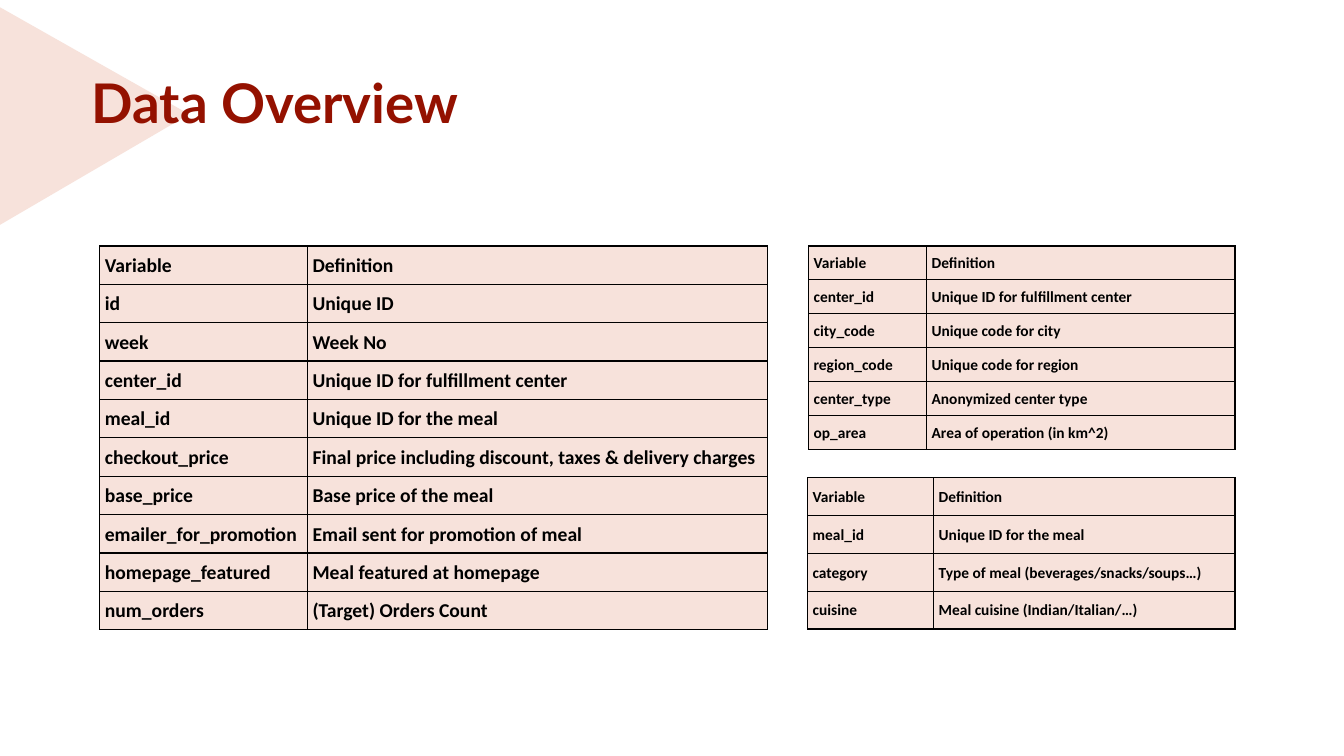
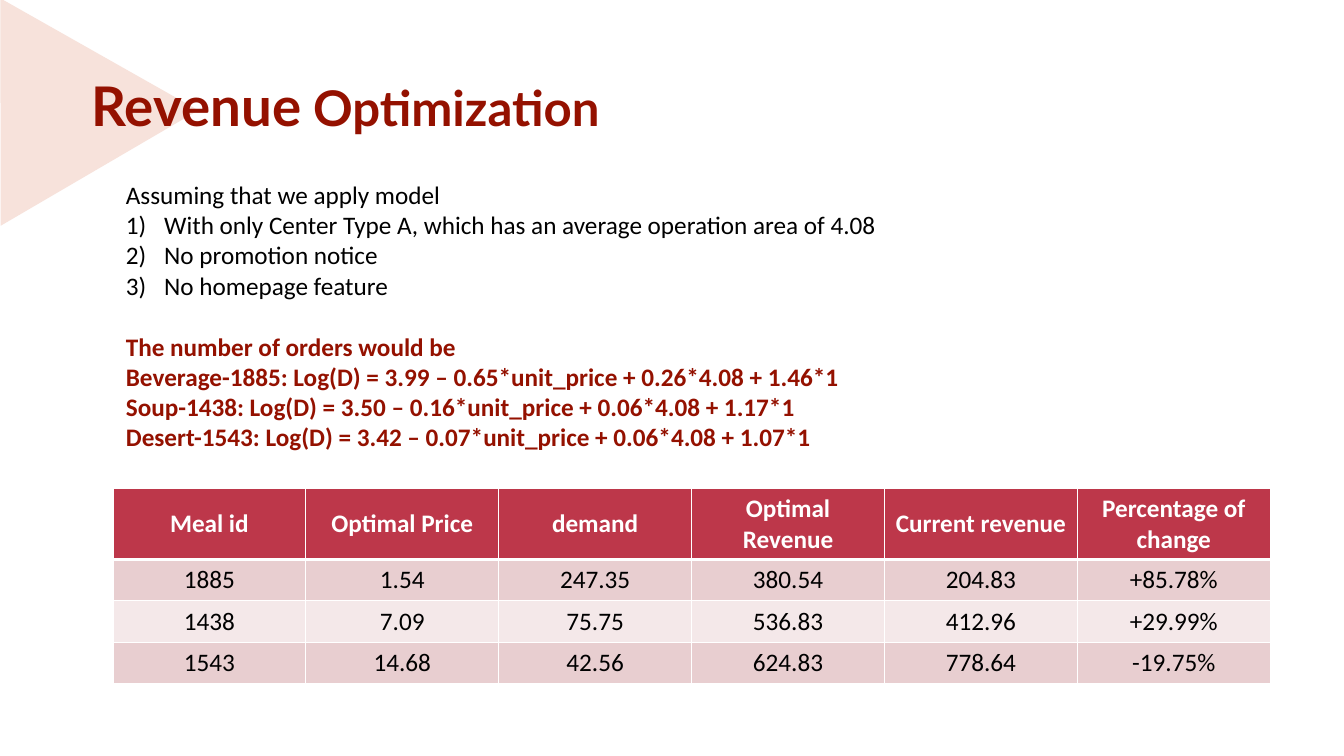
from lxml import etree
from pptx import Presentation
from pptx.dml.color import RGBColor
from pptx.enum.shapes import MSO_SHAPE
from pptx.enum.text import MSO_ANCHOR, PP_ALIGN
from pptx.oxml.ns import qn
from pptx.util import Inches, Pt

TRIANGLE = MSO_SHAPE.ISOSCELES_TRIANGLE
MIDDLE = MSO_ANCHOR.MIDDLE
LEFT, CENTER = PP_ALIGN.LEFT, PP_ALIGN.CENTER

BLACK, WHITE = "000000", "FFFFFF"
DARK_RED, BLUSH = "941100", "F7E2DB"
HEADER_RED, BAND_DARK, BAND_LIGHT = "BD374A", "E8CED0", "F4E8E9"
TITLE_FONT, BODY_FONT = "Lato", "Calibri"

ORDER_VARIABLES = [
    ("Variable", "Definition"),
    ("id", "Unique ID"),
    ("week", "Week No"),
    ("center_id", "Unique ID for fulfillment center"),
    ("meal_id", "Unique ID for the meal"),
    ("checkout_price", "Final price including discount, taxes & delivery charges"),
    ("base_price", "Base price of the meal"),
    ("emailer_for_promotion", "Email sent for promotion of meal"),
    ("homepage_featured", "Meal featured at homepage"),
    ("num_orders", "(Target) Orders Count"),
]
CENTER_VARIABLES = [
    ("Variable", "Definition"),
    ("center_id", "Unique ID for fulfillment center"),
    ("city_code", "Unique code for city"),
    ("region_code", "Unique code for region"),
    ("center_type", "Anonymized center type"),
    ("op_area", "Area of operation (in km^2)"),
]
MEAL_VARIABLES = [
    ("Variable", "Definition"),
    ("meal_id", "Unique ID for the meal"),
    ("category", "Type of meal (beverages/snacks/soups…)"),
    ("cuisine", "Meal cuisine (Indian/Italian/…)"),
]
ASSUMPTIONS = [
    "With only Center Type A, which has an average operation area of 4.08",
    "No promotion notice",
    "No homepage feature",
]
DEMAND_MODELS = [
    "Beverage-1885: Log(D) = 3.99 – 0.65*unit_price + 0.26*4.08 + 1.46*1",
    "Soup-1438: Log(D) = 3.50 – 0.16*unit_price + 0.06*4.08 + 1.17*1",
    "Desert-1543: Log(D) = 3.42 – 0.07*unit_price + 0.06*4.08 + 1.07*1",
]
REVENUES = [
    ("Meal id", "Optimal Price", "demand", "Optimal Revenue",
     "Current revenue", "Percentage of change"),
    ("1885", "1.54", "247.35", "380.54", "204.83", "+85.78%"),
    ("1438", "7.09", "75.75", "536.83", "412.96", "+29.99%"),
    ("1543", "14.68", "42.56", "624.83", "778.64", "-19.75%"),
]


def color(hex_string):
    return RGBColor.from_string(hex_string)


def add_run(paragraph, text, size, hex_color, bold=False, font=BODY_FONT):
    run = paragraph.add_run()
    run.text = text
    run.font.name = font
    run.font.size = Pt(size)
    run.font.bold = bold
    run.font.color.rgb = color(hex_color)


def add_text_frame(slide, left, top, width, height):
    box = slide.shapes.add_textbox(
        Inches(left), Inches(top), Inches(width), Inches(height))
    box.text_frame.word_wrap = True
    return box.text_frame


def add_title(slide, triangle_left, triangle_top, title_top, title_width, runs):
    """Place the corner triangle and, over it, a title of (text, size) runs."""
    triangle = slide.shapes.add_shape(
        TRIANGLE, Inches(triangle_left), Inches(triangle_top),
        Inches(2.27), Inches(1.95))
    triangle.rotation = 329.7
    triangle.shadow.inherit = False
    triangle.fill.solid()
    triangle.fill.fore_color.rgb = color(BLUSH)
    triangle.line.fill.background()

    frame = add_text_frame(slide, 0.81, title_top, title_width, 1.48)
    frame.vertical_anchor = MIDDLE
    paragraph = frame.paragraphs[0]
    paragraph.line_spacing = 0.9
    for text, size in runs:
        add_run(paragraph, text, size, DARK_RED, True, TITLE_FONT)


def set_borders(cell, hex_color, bottom_width=1):
    properties = cell._tc.get_or_add_tcPr()
    for side, width in (("L", 1), ("R", 1), ("T", 1), ("B", bottom_width)):
        line = etree.SubElement(properties, qn(f"a:ln{side}"), w=str(Pt(width)))
        fill = etree.SubElement(line, qn("a:solidFill"))
        etree.SubElement(fill, qn("a:srgbClr"), val=hex_color)


def add_table(slide, left, top, column_widths, row_heights, rows, style_cell):
    """Build a plain table; style_cell(cell, row_index, text) fills each cell."""
    frame = slide.shapes.add_table(
        len(rows), len(column_widths), Inches(left), Inches(top),
        Inches(sum(column_widths)), Inches(sum(row_heights)))
    table = frame.table
    table.first_row = table.horz_banding = False
    for column, width in zip(table.columns, column_widths):
        column.width = Inches(width)
    for row, height in zip(table.rows, row_heights):
        row.height = Inches(height)
    for row_index, texts in enumerate(rows):
        for column_index, text in enumerate(texts):
            cell = table.cell(row_index, column_index)
            cell.vertical_anchor = MIDDLE
            style_cell(cell, row_index, text)


def fill_cell(cell, text, fill, size, hex_color, bold, alignment):
    cell.fill.solid()
    cell.fill.fore_color.rgb = color(fill)
    paragraph = cell.text_frame.paragraphs[0]
    paragraph.alignment = alignment
    add_run(paragraph, text, size, hex_color, bold)


def add_variable_table(slide, left, top, column_widths, height, size, rows):
    def style_cell(cell, row_index, text):
        cell.margin_left = Inches(0.05)
        cell.margin_right = cell.margin_top = Inches(0.01)
        cell.margin_bottom = 0
        set_borders(cell, BLACK)
        fill_cell(cell, text, BLUSH, size, BLACK, True, LEFT)

    row_heights = [height / len(rows)] * len(rows)
    add_table(slide, left, top, column_widths, row_heights, rows, style_cell)


def add_revenue_table(slide, left, top, width):
    def style_cell(cell, row_index, text):
        is_header = row_index == 0
        band = BAND_DARK if row_index % 2 else BAND_LIGHT
        set_borders(cell, WHITE, 3 if is_header else 1)
        fill_cell(cell, text, HEADER_RED if is_header else band, 18,
                  WHITE if is_header else BLACK, is_header, CENTER)

    column_count = len(REVENUES[0])
    row_heights = [0.7] + [0.41] * (len(REVENUES) - 1)
    add_table(slide, left, top, [width / column_count] * column_count,
              row_heights, REVENUES, style_cell)


def number_paragraph(paragraph):
    properties = paragraph._p.get_or_add_pPr()
    properties.set("marL", str(Inches(0.38)))
    properties.set("indent", str(-Inches(0.38)))
    etree.SubElement(properties, qn("a:buFont"), typeface="+mj-lt")
    etree.SubElement(properties, qn("a:buAutoNum"), type="arabicParenR")


def add_model_text(slide, left, top, width, height):
    frame = add_text_frame(slide, left, top, width, height)
    add_run(frame.paragraphs[0], "Assuming that we apply model", 18, BLACK)
    for assumption in ASSUMPTIONS:
        paragraph = frame.add_paragraph()
        number_paragraph(paragraph)
        add_run(paragraph, assumption, 18, BLACK)
    heading = frame.add_paragraph()
    heading.space_before = Pt(22)
    add_run(heading, "The number of orders would be", 18, DARK_RED, True)
    for model in DEMAND_MODELS:
        add_run(frame.add_paragraph(), model, 18, DARK_RED, True)


def build_data_overview(slide):
    add_title(slide, -0.73, -0.11, 0.31, 5.28, [("Data Overview", 39)])
    add_variable_table(slide, 8.01, 4.74, (1.25, 2.99), 1.5, 11, MEAL_VARIABLES)
    add_variable_table(slide, 8.02, 2.44, (1.17, 3.06), 2.02, 11, CENTER_VARIABLES)
    add_variable_table(slide, 0.99, 2.44, (2.06, 4.56), 3.81, 14, ORDER_VARIABLES)


def build_revenue_optimization(slide):
    add_title(slide, -0.64, -0.15, 0.34, 12.51,
              [("Revenue", 39), (" Optimization", 35.1)])
    add_model_text(slide, 1.15, 1.73, 11.05, 2.83)
    add_revenue_table(slide, 1.12, 4.85, 11.48)


def main():
    presentation = Presentation()
    presentation.slide_width = Inches(13.33)
    presentation.slide_height = Inches(7.5)
    blank_layout = presentation.slide_layouts[6]
    for build_slide in (build_data_overview, build_revenue_optimization):
        build_slide(presentation.slides.add_slide(blank_layout))
    presentation.save("out.pptx")


if __name__ == "__main__":
    main()
